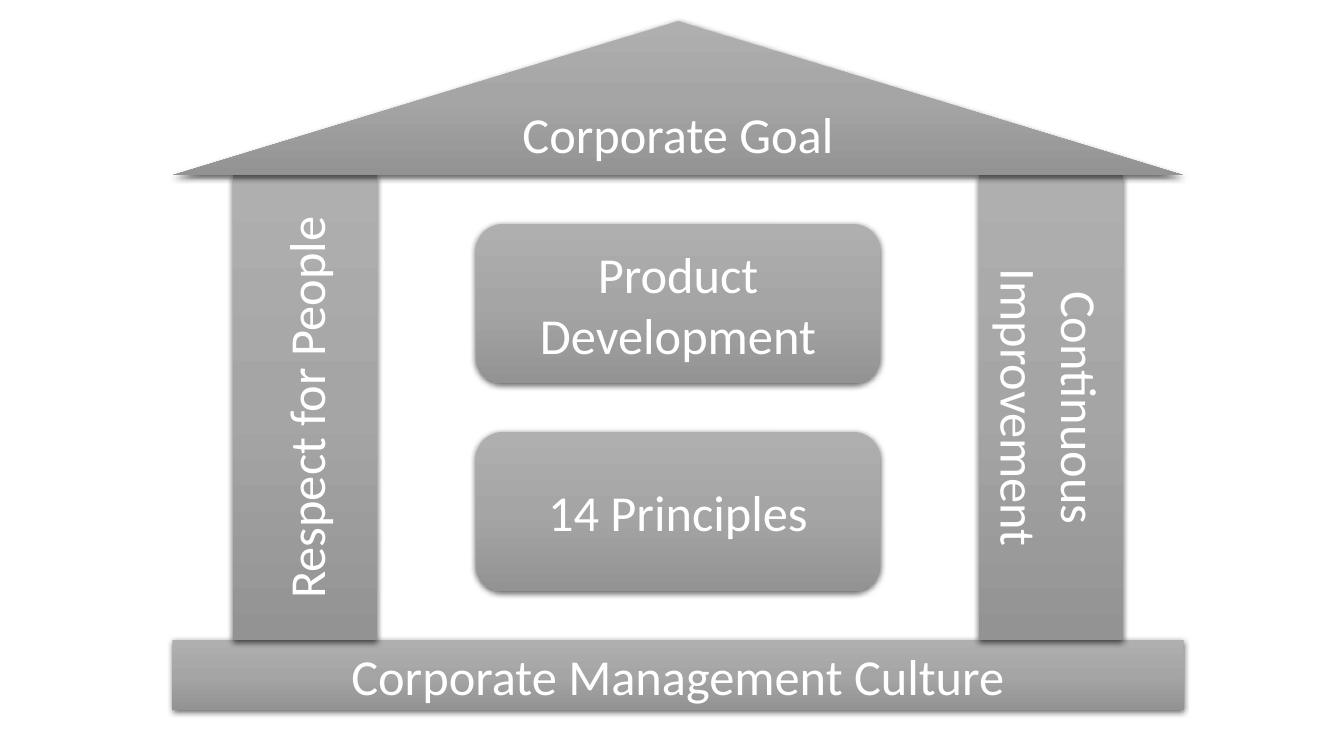
from lxml import etree
from pptx import Presentation
from pptx.dml.color import RGBColor
from pptx.enum import shapes, text
from pptx.oxml import ns
from pptx.util import Inches, Pt

WHITE = RGBColor(0xFF, 0xFF, 0xFF)
BLACK = RGBColor(0x00, 0x00, 0x00)
GRADIENT = [
    (0, RGBColor(0xAF, 0xAF, 0xAF)),
    (50, RGBColor(0xA5, 0xA5, 0xA5)),
    (100, RGBColor(0x93, 0x93, 0x93)),
]
RECTANGLE = shapes.MSO_SHAPE.RECTANGLE


def add_child(parent, tag, **attributes):
    values = {name: str(value) for name, value in attributes.items()}
    return etree.SubElement(parent, ns.qn(tag), values)


def shade(shape):
    """Give the shape the grey vertical gradient and a soft shadow below."""
    shape.line.fill.background()
    shape.fill.gradient()
    shape.fill.gradient_angle = 270
    properties = shape.element.spPr
    stops = properties.find(".//" + ns.qn("a:gsLst"))
    for stop in list(stops):
        stops.remove(stop)
    for percent, color in GRADIENT:
        stop = add_child(stops, "a:gs", pos=percent * 1000)
        add_child(stop, "a:srgbClr", val=color)

    shape.shadow.inherit = False
    effects = properties.find(ns.qn("a:effectLst"))
    shadow = add_child(effects, "a:outerShdw", blurRad=Pt(4.5), dist=Pt(1.5),
                       dir=90 * 60000, rotWithShape=0)
    shadow_color = add_child(shadow, "a:srgbClr", val=BLACK)
    add_child(shadow_color, "a:alpha", val=63000)


def add_part(slide, kind, label, left, top, width, height,
             anchor=text.MSO_ANCHOR.MIDDLE, direction="horz"):
    """Add one labelled part of the house; lengths are in inches."""
    shape = slide.shapes.add_shape(
        kind, Inches(left), Inches(top), Inches(width), Inches(height))
    shade(shape)
    frame = shape.text_frame
    frame.word_wrap = True
    frame.vertical_anchor = anchor
    shape.element.txBody.find(ns.qn("a:bodyPr")).set("vert", direction)
    paragraph = frame.paragraphs[0]
    paragraph.text = label
    paragraph.alignment = text.PP_ALIGN.CENTER
    paragraph.font.name = "Calibri"
    paragraph.font.size = Pt(36)
    paragraph.font.color.rgb = WHITE


def add_pillars(slide, left, top, width, height):
    pillar_width = 1.43
    right = left + width - pillar_width
    for label, x, direction in (("Respect for People", left, "vert270"),
                                ("Continuous Improvement", right, "vert")):
        add_part(slide, RECTANGLE, label, x, top, pillar_width, height,
                 direction=direction)


def add_rooms(slide, left, top, width, height):
    """Stack the rooms in the middle of the box with equal gaps."""
    labels = ["Product Development", "14 Principles"]
    room_width, room_height = 4.01, 1.58
    gap = (height - len(labels) * room_height) / (len(labels) + 1)
    x = left + (width - room_width) / 2
    for row, label in enumerate(labels):
        y = top + gap + row * (room_height + gap)
        add_part(slide, shapes.MSO_SHAPE.ROUNDED_RECTANGLE, label,
                 x, y, room_width, room_height)


def add_house(slide, left, top, width, height):
    roof_height, base_height, overhang = 1.53, 0.69, 0.6
    walls_top = top + roof_height
    walls_height = height - roof_height - base_height
    walls = (left + overhang, walls_top, width - 2 * overhang, walls_height)

    add_part(slide, RECTANGLE, "Corporate Management Culture",
             left, walls_top + walls_height, width, base_height)
    add_pillars(slide, *walls)
    add_part(slide, shapes.MSO_SHAPE.ISOSCELES_TRIANGLE, "Corporate Goal",
             left, top, width, roof_height, anchor=text.MSO_ANCHOR.TOP)
    add_rooms(slide, *walls)


def main():
    presentation = Presentation()
    presentation.slide_width = Inches(13.33)
    presentation.slide_height = Inches(7.5)
    slide = presentation.slides.add_slide(presentation.slide_layouts[6])
    add_house(slide, 1.71, 0.21, 10.03, 6.83)
    presentation.save("out.pptx")


if __name__ == "__main__":
    main()
